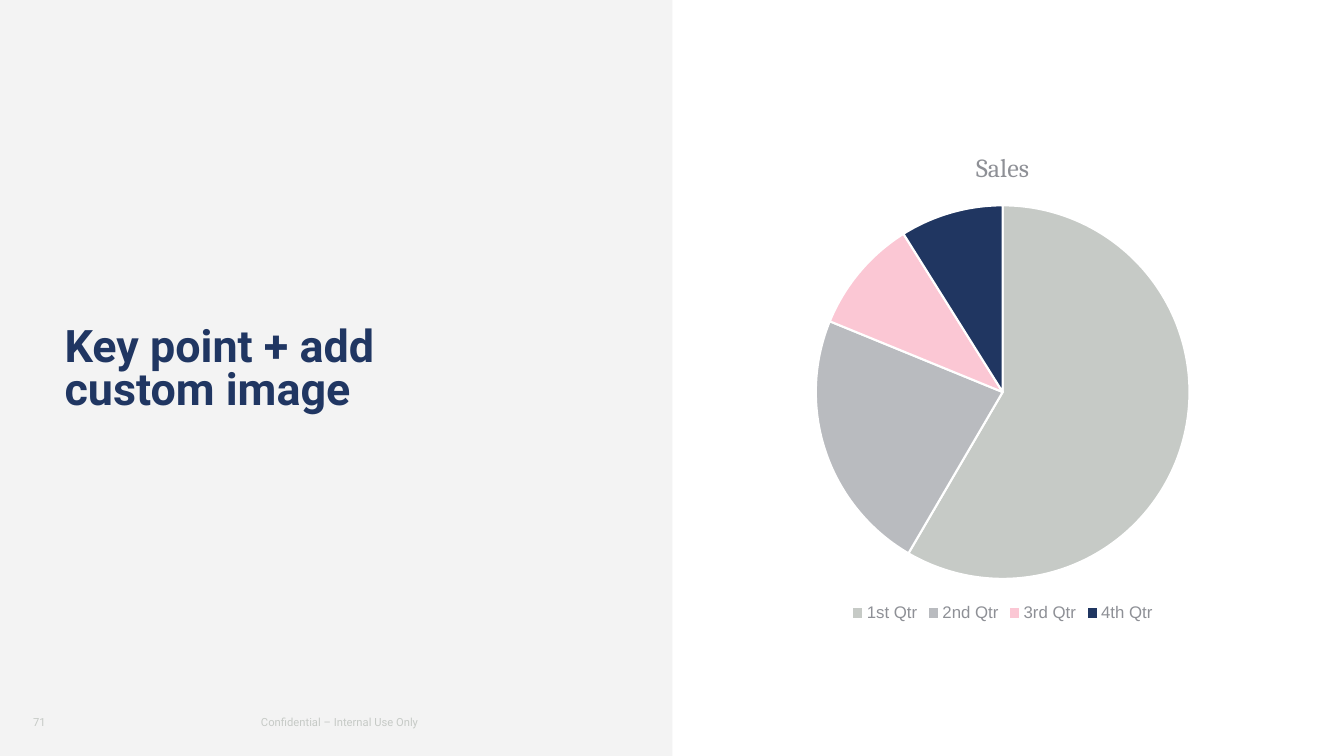
"""Build a key-point slide with a quarterly sales pie chart."""
import pptx
import pptx.chart.data
import pptx.dml.color
import pptx.enum.chart
import pptx.enum.shapes
import pptx.enum.text
import pptx.util

Inches = pptx.util.Inches
RGBColor = pptx.dml.color.RGBColor
Align = pptx.enum.text.PP_ALIGN

PANEL = RGBColor(0xF3, 0xF3, 0xF3)
WHITE = RGBColor(0xFF, 0xFF, 0xFF)
NAVY = RGBColor(0x20, 0x36, 0x62)
SLICE_NAVY = RGBColor(0x20, 0x36, 0x61)
SILVER = RGBColor(0xC6, 0xCA, 0xC6)
GREY = RGBColor(0xB9, 0xBB, 0xBF)
PINK = RGBColor(0xFB, 0xC7, 0xD4)
LABEL = RGBColor(0x8E, 0x90, 0x96)
CHART_TEXT = RGBColor(0x54, 0x56, 0x5B)

QUARTERS = [
    ("1st Qtr", 59, SILVER),
    ("2nd Qtr", 23, GREY),
    ("3rd Qtr", 10, PINK),
    ("4th Qtr", 9, SLICE_NAVY),
]


def set_font(font, name, size, color, bold=False):
    font.name = name
    font.size = pptx.util.Pt(size)
    font.color.rgb = color
    font.bold = bold


def set_text(sp, text, size, color, align=Align.LEFT, bold=False):
    tf = sp.text_frame
    tf.word_wrap = True
    tf.auto_size = pptx.enum.text.MSO_AUTO_SIZE.NONE
    tf.vertical_anchor = pptx.enum.text.MSO_ANCHOR.MIDDLE
    tf.text = text
    p = tf.paragraphs[0]
    p.alignment = align
    set_font(p.font, "Roboto", size, color, bold)
    return p


def add_key_point(s, text):
    sp = s.shapes.title
    sp.left, sp.top = Inches(0.54), Inches(1.3)
    sp.width, sp.height = Inches(5.56), Inches(4.76)
    p = set_text(sp, text, 32, NAVY, bold=True)
    p.line_spacing = 0.8


def add_panel(s):
    sp = s.shapes.add_shape(pptx.enum.shapes.MSO_SHAPE.RECTANGLE,
                            0, 0, Inches(6.67), Inches(7.5))
    sp.shadow.inherit = False
    sp.fill.solid()
    sp.fill.fore_color.rgb = PANEL
    sp.line.fill.background()
    s.shapes.title.element.addprevious(sp.element)


def add_footer(s, text, left, width, align):
    sp = s.shapes.add_textbox(Inches(left), Inches(7), Inches(width), Inches(0.32))
    set_text(sp, text, 8, SILVER, align)


def add_sales_pie(s):
    data = pptx.chart.data.CategoryChartData()
    data.categories = [name for name, _, _ in QUARTERS]
    data.add_series("Sales", [value for _, value, _ in QUARTERS])
    chart = s.shapes.add_chart(pptx.enum.chart.XL_CHART_TYPE.PIE, Inches(7.33),
                               Inches(1.29), Inches(5.23), Inches(4.92), data).chart
    set_font(chart.font, "Arial", 10, CHART_TEXT)

    chart.has_title = True
    tf = chart.chart_title.text_frame
    tf.text = "Sales"
    set_font(tf.paragraphs[0].font, "Cambria", 18.6, LABEL)

    chart.has_legend = True
    chart.legend.position = pptx.enum.chart.XL_LEGEND_POSITION.BOTTOM
    chart.legend.include_in_layout = False
    set_font(chart.legend.font, "Arial", 12, LABEL)

    plot = chart.plots[0]
    plot.vary_by_categories = True
    for i, (_, _, color) in enumerate(QUARTERS):
        slice_format = plot.series[0].points[i].format
        slice_format.fill.solid()
        slice_format.fill.fore_color.rgb = color
        slice_format.line.color.rgb = WHITE
        slice_format.line.width = pptx.util.Pt(1.5)


def main():
    prs = pptx.Presentation()
    prs.slide_width, prs.slide_height = Inches(13.33), Inches(7.5)
    s = prs.slides.add_slide(prs.slide_layouts[5])
    add_key_point(s, "Key point + add\vcustom image")
    add_panel(s)
    add_footer(s, "Confidential – Internal Use Only", 1.87, 3, Align.CENTER)
    add_footer(s, "71", 0.23, 0.82, Align.LEFT)
    add_sales_pie(s)
    prs.save("out.pptx")


if __name__ == "__main__":
    main()
